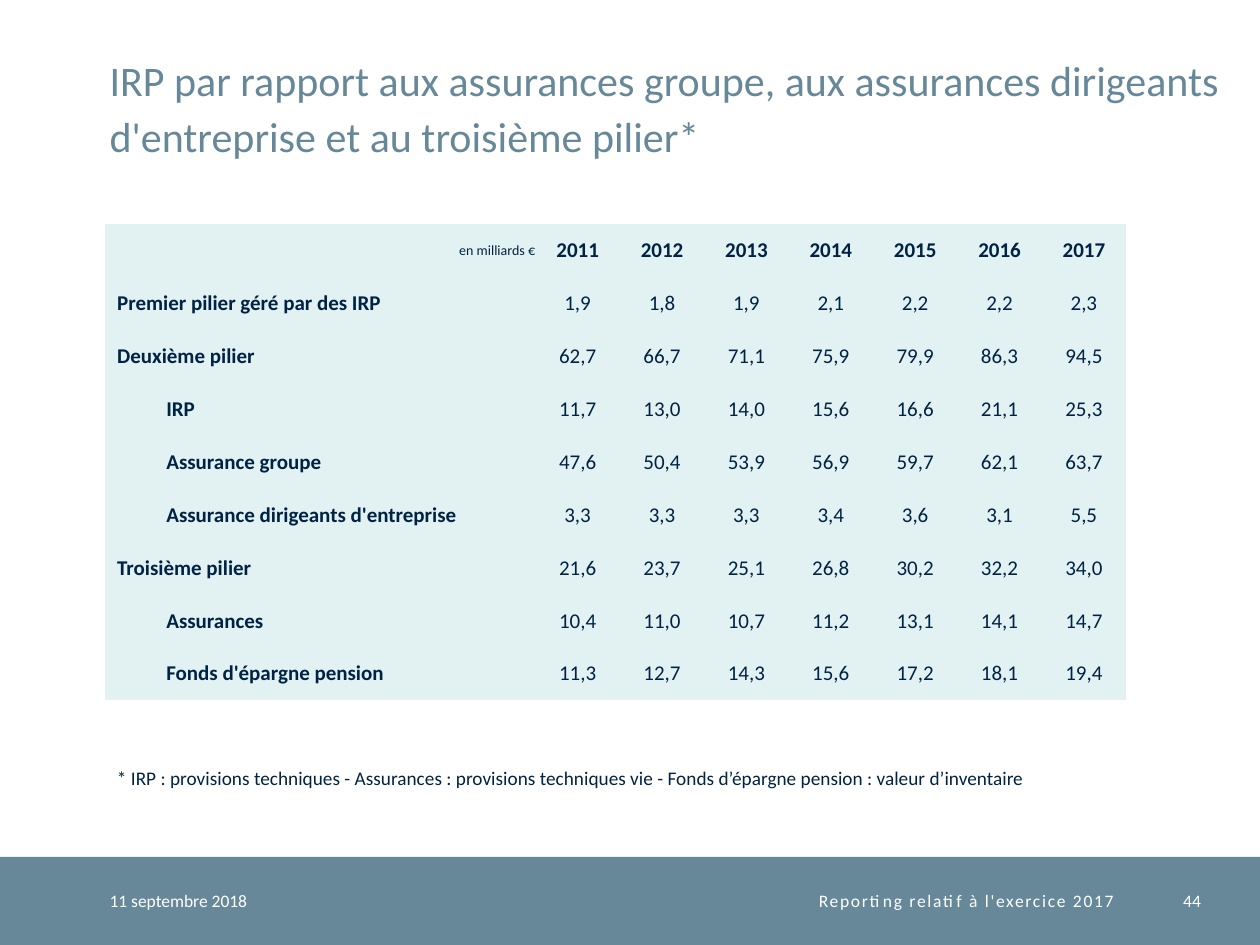
from dataclasses import dataclass
from typing import NamedTuple

from pptx import Presentation, util as u
from pptx.dml.color import RGBColor
from pptx.enum import shapes, text

PX = 9144  # EMU per px, 100 px to the inch
NO_GRID_STYLE = "{2D5ABB26-0587-4C30-8999-92F81FD0307C}"
LEFT, CENTER, RIGHT = text.PP_ALIGN.LEFT, text.PP_ALIGN.CENTER, text.PP_ALIGN.RIGHT


@dataclass(frozen=True)
class Theme:
    font: str = "Calibri"
    slate: str = "668899"
    navy: str = "002244"
    white: str = "FFFFFF"
    pale: str = "E2F2F2"
    title: int = 24
    title_line: int = 32
    table: int = 12
    note: int = 11
    footer: int = 10
    unit: int = 8


class Box(NamedTuple):
    left: int
    top: int
    width: int
    height: int

    def emu(self) -> list[int]:
        return [side * PX for side in self]


class Row(NamedTuple):
    label: str
    indent: int
    values: str


class FooterItem(NamedTuple):
    wording: str
    left: int
    width: int
    align: text.PP_ALIGN
    tracking: int = 0


THEME = Theme()
MAIN, SUB = 10, 49  # label indents
LABEL_W, YEAR_W, ROW_H = 342, 67, 42
TABLE_LEFT, TABLE_TOP = 83, 178
BAND = Box(0, 680, 1000, 70)

TITLE = ("IRP par rapport aux assurances groupe, aux assurances dirigeants "
         "d'entreprise et au troisième pilier*")
NOTE = ("* IRP : provisions techniques - Assurances : provisions techniques vie - "
        "Fonds d’épargne pension : valeur d’inventaire")
UNIT = "en milliards €"
YEARS = range(2011, 2018)
ROWS = [
    Row("Premier pilier géré par des IRP", MAIN, "1,9 1,8 1,9 2,1 2,2 2,2 2,3"),
    Row("Deuxième pilier", MAIN, "62,7 66,7 71,1 75,9 79,9 86,3 94,5"),
    Row("IRP", SUB, "11,7 13,0 14,0 15,6 16,6 21,1 25,3"),
    Row("Assurance groupe", SUB, "47,6 50,4 53,9 56,9 59,7 62,1 63,7"),
    Row("Assurance dirigeants d'entreprise", SUB, "3,3 3,3 3,3 3,4 3,6 3,1 5,5"),
    Row("Troisième pilier", MAIN, "21,6 23,7 25,1 26,8 30,2 32,2 34,0"),
    Row("Assurances", SUB, "10,4 11,0 10,7 11,2 13,1 14,1 14,7"),
    Row("Fonds d'épargne pension", SUB, "11,3 12,7 14,3 15,6 17,2 18,1 19,4"),
]
FOOTER = [
    FooterItem("11 septembre 2018", 87, 177, LEFT),
    FooterItem("Reporting relatif à l'exercice 2017", 264, 620, RIGHT, tracking=100),
    FooterItem("44", 904, 49, RIGHT),
]


def write(paragraph, wording: str, size: int, color: str,
          align=LEFT, bold: bool = False):
    paragraph.alignment = align
    run = paragraph.add_run()
    run.text = wording
    run.font.name = THEME.font
    run.font.size = u.Pt(size)
    run.font.bold = bold
    run.font.color.rgb = RGBColor.from_string(color)
    return run


def clear_margins(holder) -> None:
    holder.margin_left = holder.margin_right = 0
    holder.margin_top = holder.margin_bottom = 0
    holder.vertical_anchor = text.MSO_ANCHOR.MIDDLE


def fill_cell(cell, wording: str, align=CENTER, bold: bool = False,
              size: int = THEME.table, indent: int = 0) -> None:
    clear_margins(cell)
    cell.fill.solid()
    cell.fill.fore_color.rgb = RGBColor.from_string(THEME.pale)
    paragraph = cell.text_frame.paragraphs[0]
    write(paragraph, wording, size, THEME.navy, align, bold)
    if indent:
        paragraph._p.get_or_add_pPr().set("marL", str(indent * PX))


def draw_title(slide) -> None:
    title = slide.shapes.title
    title.left, title.top, title.width, title.height = Box(87, 20, 886, 108).emu()
    frame = title.text_frame
    clear_margins(frame)
    frame.vertical_anchor = text.MSO_ANCHOR.BOTTOM
    frame.auto_size = text.MSO_AUTO_SIZE.NONE
    frame.paragraphs[0].line_spacing = u.Pt(THEME.title_line)
    write(frame.paragraphs[0], TITLE, THEME.title, THEME.slate)


def draw_table(slide) -> None:
    count = len(ROWS) + 1
    area = Box(TABLE_LEFT, TABLE_TOP, LABEL_W + YEAR_W * len(YEARS), ROW_H * count)
    table = slide.shapes.add_table(count, len(YEARS) + 1, *area.emu()).table
    table.first_row = table.horz_banding = False
    table._tbl.tblPr[0].text = NO_GRID_STYLE
    for index, column in enumerate(table.columns):
        column.width = (YEAR_W if index else LABEL_W) * PX

    # Header row
    fill_cell(table.cell(0, 0), UNIT, RIGHT, size=THEME.unit, indent=MAIN)
    for col, year in enumerate(YEARS, 1):
        fill_cell(table.cell(0, col), str(year), bold=True)

    # Pillars and their parts
    for line, row in enumerate(ROWS, 1):
        fill_cell(table.cell(line, 0), row.label, LEFT, bold=True, indent=row.indent)
        for col, value in enumerate(row.values.split(), 1):
            fill_cell(table.cell(line, col), value)


def draw_note(slide) -> None:
    note = slide.shapes.add_textbox(*Box(83, 603, 811, 29).emu()).text_frame
    note.word_wrap = True
    write(note.paragraphs[0], NOTE, THEME.note, THEME.navy)


def draw_band(slide) -> None:
    band = slide.shapes.add_shape(shapes.MSO_SHAPE.RECTANGLE, *BAND.emu())
    band.shadow.inherit = False
    band.fill.solid()
    band.fill.fore_color.rgb = RGBColor.from_string(THEME.slate)
    band.line.fill.background()


def draw_footer_item(slide, item: FooterItem) -> None:
    area = Box(item.left, BAND.top, item.width, BAND.height)
    frame = slide.shapes.add_textbox(*area.emu()).text_frame
    frame.word_wrap = True
    clear_margins(frame)
    run = write(frame.paragraphs[0], item.wording, THEME.footer, THEME.white, item.align)
    if item.tracking:
        run.font._element.set("spc", str(item.tracking))


def main() -> None:
    deck = Presentation()
    deck.slide_width, deck.slide_height = 1000 * PX, 750 * PX
    slide = deck.slides.add_slide(deck.slide_layouts.get_by_name("Title Only"))
    draw_band(slide)
    draw_title(slide)
    for item in FOOTER:
        draw_footer_item(slide, item)
    draw_table(slide)
    draw_note(slide)
    deck.save("out.pptx")


if __name__ == "__main__":
    main()
